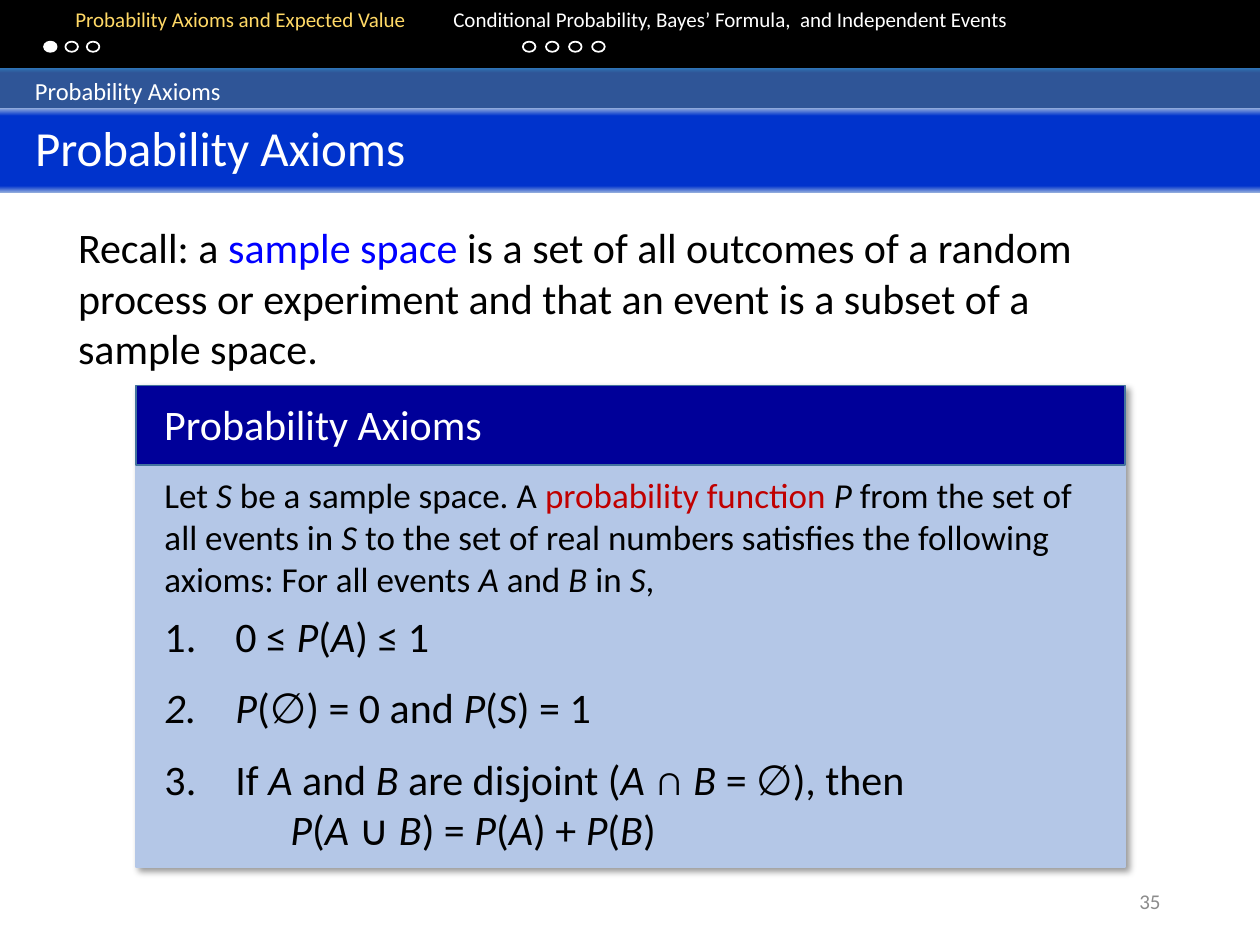
from lxml.etree import SubElement
from pptx import Presentation
from pptx.dml.color import RGBColor
from pptx.enum.shapes import MSO_SHAPE as SHAPE
from pptx.enum.text import MSO_ANCHOR as ANCHOR, MSO_AUTO_SIZE as AUTO, PP_ALIGN as ALIGN
from pptx.oxml.ns import qn
from pptx.util import Pt

FONT = "Calibri"
BLACK = RGBColor(0x00, 0x00, 0x00)
WHITE = RGBColor(0xFF, 0xFF, 0xFF)
GOLD = RGBColor(0xFF, 0xD9, 0x66)
GREY = RGBColor(0x8C, 0x8C, 0x8C)
RED = RGBColor(0xC0, 0x00, 0x00)
BLUE = RGBColor(0x00, 0x00, 0xFF)
NAVY = RGBColor(0x00, 0x00, 0x99)
STEEL = RGBColor(0x43, 0x73, 0x9E)
PALE = RGBColor(0xB4, 0xC7, 0xE7)
SECTION_EDGE = RGBColor(0x2E, 0x75, 0xB6)
SECTION_CORE = RGBColor(0x2F, 0x55, 0x97)
TITLE_EDGE = RGBColor(0x8F, 0xAA, 0xDC)
TITLE_CORE = RGBColor(0x00, 0x33, 0xCC)

INTRO = ("Recall: a |sample space |is a set of all outcomes of a random process or "
         "experiment and that an event is a subset of a sample space.")
PREMISE = ("Let *S *be a sample space. A |probability function |*P* from the set of all "
           "events in *S *to the set of real numbers satisfies the following axioms: "
           "For all events *A *and *B* in *S*,")
# text, space after
AXIOMS = [("0 ≤ *P*(*A*) ≤ 1", 12),
          ("*P*(∅) = 0 and *P*(*S*) = 1", 12),
          ("If *A* and *B* are disjoint (*A* ∩ *B* = ∅), then", 0)]
CONCLUSION = "*P*(*A* ∪ *B*) = *P*(*A*) + *P*(*B*)"


def add_runs(p, text, size, color, accent=None):
    """Text between bars takes the accent colour, between asterisks italics."""
    for i, part in enumerate(text.split("|")):
        for j, piece in enumerate(part.split("*")):
            if piece:
                r = p.add_run()
                r.text = piece
                r.font.name, r.font.size = FONT, Pt(size)
                r.font.italic = j % 2 == 1
                r.font.color.rgb = accent if i % 2 else color


def set_paragraph(p, after=0, left=0, hanging=0, numbered=False):
    p.alignment = ALIGN.LEFT
    p.space_before, p.space_after = Pt(0), Pt(after)
    pPr = p._p.get_or_add_pPr()
    pPr.set("marL", str(Pt(left)))
    pPr.set("indent", str(-Pt(hanging)))
    if numbered:
        SubElement(pPr, qn("a:buFont"), typeface="+mj-lt")
        SubElement(pPr, qn("a:buAutoNum"), type="arabicPeriod")
    else:
        SubElement(pPr, qn("a:buNone"))


def set_box(sp, box, anchor=ANCHOR.TOP, inset=7.2):
    sp.left, sp.top, sp.width, sp.height = (Pt(v) for v in box)
    tf = sp.text_frame
    tf.word_wrap, tf.auto_size, tf.vertical_anchor = True, AUTO.NONE, anchor
    tf.margin_left, tf.margin_right = Pt(inset), Pt(7.2)
    tf.margin_top = tf.margin_bottom = Pt(3.6)
    return tf


def place(slide, sp, box, **options):
    """Move a placeholder into its box and in front of what is drawn so far."""
    slide.shapes._spTree.append(sp._element)
    return set_box(sp, box, **options)


def add_textbox(slide, box, **options):
    return set_box(slide.shapes.add_textbox(0, 0, 0, 0), box, **options)


def add_block(slide, box, fill=None, line=None, kind=SHAPE.RECTANGLE):
    sp = slide.shapes.add_shape(kind, *(Pt(v) for v in box))
    sp.shadow.inherit = False
    if fill is None:
        sp.fill.background()
    else:
        sp.fill.solid()
        sp.fill.fore_color.rgb = fill
    if line is None:
        sp.line.fill.background()
    else:
        sp.line.color.rgb, sp.line.width = line, Pt(1)
    return sp


def fill_band(sp, edge, core, start, end):
    """Vertical gradient with a flat core between two soft edges."""
    sp.fill.gradient()
    sp.fill.gradient_angle = 270
    stops = sp._element.spPr.find(qn("a:gradFill")).find(qn("a:gsLst"))
    for stop in list(stops):
        stops.remove(stop)
    for pos, color in [(0, edge), (start, core), (end, core), (100, edge)]:
        gs = SubElement(stops, qn("a:gs"), pos=str(pos * 1000))
        SubElement(gs, qn("a:srgbClr"), val=str(color))


def add_shadow(sp):
    effects = sp._element.spPr.find(qn("a:effectLst"))
    shadow = SubElement(effects, qn("a:outerShdw"), blurRad=str(Pt(4)), dist=str(Pt(3)),
                        dir=str(45 * 60000), algn="tl", rotWithShape="0")
    color = SubElement(shadow, qn("a:srgbClr"), val=str(BLACK))
    SubElement(color, qn("a:alpha"), val="40000")


def add_navigation(slide, box):
    x, y, w, h = box
    add_block(slide, box, BLACK)
    # Section names on two tab stops
    p = add_textbox(slide, (x, y + 1.4, w, 36)).paragraphs[0]
    set_paragraph(p)
    tabs = SubElement(p._p.pPr, qn("a:tabLst"))
    for stop in (18.5, 291):
        SubElement(tabs, qn("a:tab"), pos=str(Pt(stop)), algn="l")
    add_runs(p, "\t|Probability Axioms and Expected Value|\tConditional Probability, "
                "Bayes’ Formula,  and Independent Events", 12, WHITE, GOLD)
    # Progress dots: start, gap, count, current
    for start, step, count, current in [(25.2, 12.2, 3, 0), (298.8, 13.2, 4, None)]:
        for i in range(count):
            add_block(slide, (x + start + i * step, y + 25.2, 7.2, 5.8),
                      WHITE if i == current else None, WHITE, SHAPE.OVAL)


def add_section_bar(slide, box):
    sp = add_block(slide, box, SECTION_CORE)
    fill_band(sp, SECTION_EDGE, SECTION_CORE, 11, 91)
    p = set_box(sp, box, anchor=ANCHOR.MIDDLE, inset=20).paragraphs[0]
    set_paragraph(p)
    add_runs(p, "Probability Axioms", 14, WHITE)


def add_title(slide, box):
    sp = slide.shapes.title
    fill_band(sp, TITLE_EDGE, TITLE_CORE, 9, 92)
    tf = place(slide, sp, box, anchor=ANCHOR.MIDDLE, inset=20)
    tf.margin_bottom = Pt(7.2)
    set_paragraph(tf.paragraphs[0])
    add_runs(tf.paragraphs[0], "Probability Axioms", 28, WHITE)


def add_intro(slide, box):
    p = place(slide, slide.placeholders[1], box).paragraphs[0]
    set_paragraph(p)
    add_runs(p, INTRO, 24, BLACK, BLUE)


def add_axioms(slide, box):
    x, y, w, h = box
    head = 45.4
    # Panel and its heading
    add_shadow(add_block(slide, box, PALE, PALE))
    add_block(slide, (x, y, w, head), NAVY, STEEL)
    p = add_textbox(slide, (x + 9, y + 3.6, 333, 36)).paragraphs[0]
    set_paragraph(p)
    add_runs(p, "Probability Axioms", 24, WHITE)
    # Premise, numbered axioms and the last equation
    tf = place(slide, slide.placeholders[2], (x + 9, y + head + 1.4, w - 20, h - head - 2))
    p = tf.paragraphs[0]
    set_paragraph(p, after=6)
    add_runs(p, PREMISE, 20, BLACK, RED)
    for text, after in AXIOMS:
        p = tf.add_paragraph()
        set_paragraph(p, after, left=40.5, hanging=40.5, numbered=True)
        add_runs(p, text, 24, BLACK)
    p = tf.add_paragraph()
    set_paragraph(p, after=12, left=72)
    add_runs(p, CONCLUSION, 24, BLACK)


def add_page_number(slide, box):
    p = add_textbox(slide, box, anchor=ANCHOR.MIDDLE).paragraphs[0]
    p.alignment = ALIGN.RIGHT
    add_runs(p, "35", 12, GREY)


def main():
    prs = Presentation()
    prs.slide_width, prs.slide_height = Pt(720), Pt(540)
    slide = prs.slides.add_slide(prs.slide_layouts[3])  # title and two bodies
    add_navigation(slide, (0, -1.4, 720, 40.3))
    add_section_bar(slide, (0, 38.9, 720, 25.9))
    add_title(slide, (0, 61.9, 720, 48.2))
    add_intro(slide, (37.4, 123.1, 633, 114.5))
    add_axioms(slide, (77.8, 220.3, 565, 275))
    add_page_number(slide, (508.3, 500.4, 162, 28.8))
    prs.save("out.pptx")


if __name__ == "__main__":
    main()
